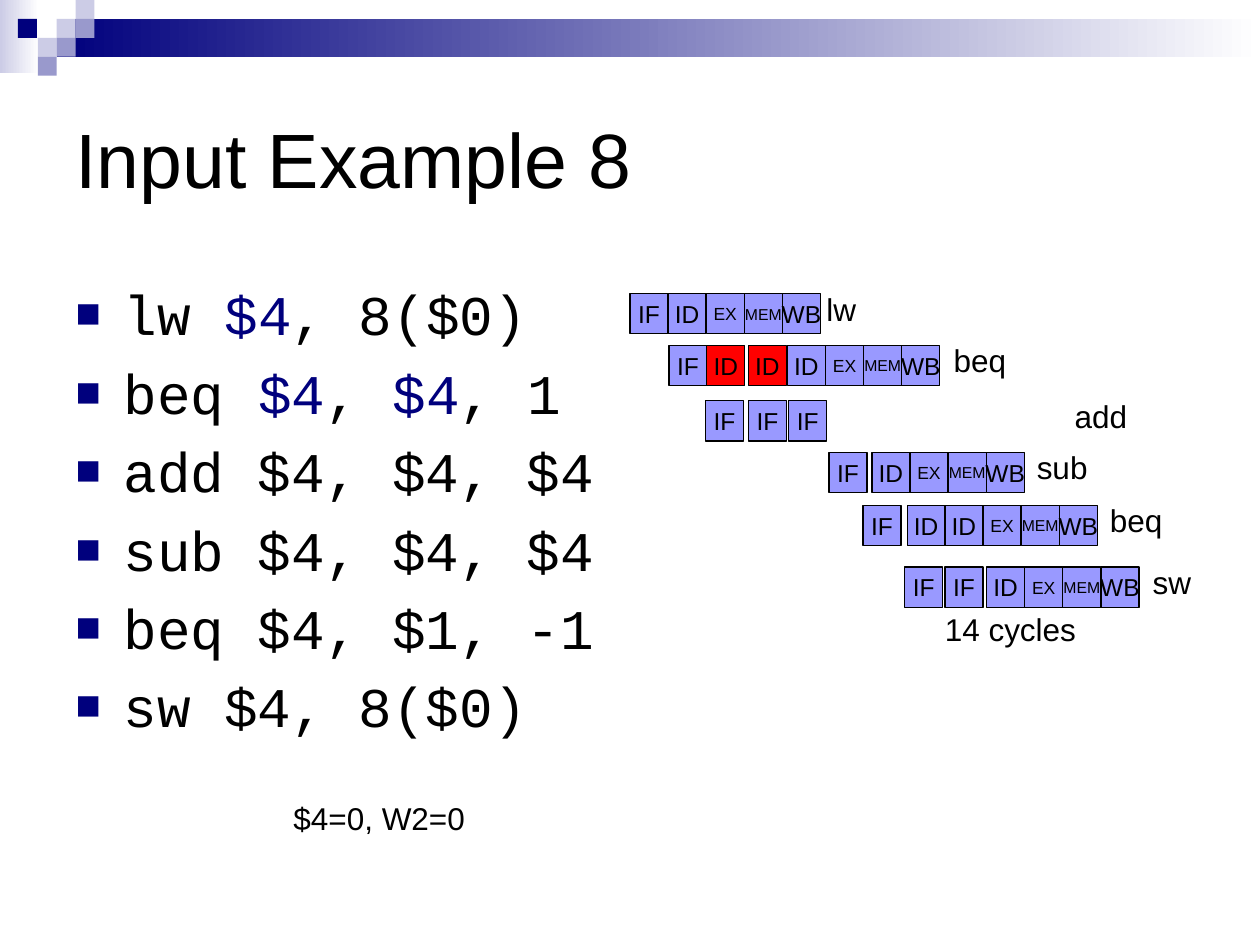
from lxml.etree import SubElement
from pptx import Presentation
from pptx.dml.color import RGBColor
from pptx.enum.shapes import MSO_SHAPE
from pptx.enum.text import MSO_ANCHOR, MSO_AUTO_SIZE, PP_ALIGN
from pptx.oxml.ns import qn
from pptx.util import Inches, Pt

NAVY, PALE, MID = "00007D", "CCCCE6", "9999CC"
BLACK, WHITE, BLUE, RED = "000000", "FFFFFF", "9999FF", "FF0000"
PITCH, TALL, TILE = 1.21 / 4, 0.32, 0.15
SIZES = {"EX": 10, "MEM": 9}
TAIL = ["ID", "EX", "MEM", "WB"]
CODE = [
    [("lw ", BLACK), ("$4", NAVY), (", 8($0)", BLACK)],
    [("beq ", BLACK), ("$4", NAVY), (", ", BLACK), ("$4", NAVY), (", 1", BLACK)],
    [("add $4, $4, $4", BLACK)],
    [("sub $4, $4, $4", BLACK)],
    [("beq $4, $1, -1", BLACK)],
    [("sw $4, 8($0)", BLACK)],
]
ROWS = [
    ("lw", 6.46, 0.44, 2.33, [(5, ["IF"] + TAIL, BLUE)]),
    ("beq", 7.47, 0.62, 2.74, [(5.31, ["IF"], BLUE), (6.25, TAIL, BLUE),
                               (5.61, ["ID"], RED), (5.94, ["ID"], RED)]),
    ("add", 8.43, 0.62, 3.18, [(x, ["IF"], BLUE) for x in (5.6, 5.94, 6.26)]),
    ("sub", 8.13, 0.61, 3.59, [(6.58, ["IF"], BLUE), (6.92, TAIL, BLUE)]),
    ("beq", 8.71, 0.62, 4.01, [(6.85, ["IF"], BLUE), (7.2, ["ID"], BLUE),
                               (7.5, TAIL, BLUE)]),
    ("sw", 9.05, 0.51, 4.5, [(7.18, ["IF"], BLUE), (7.5, ["IF"], BLUE),
                             (7.83, TAIL, BLUE)]),
]


def paint(fmt, tone):
    """Set a solid colour on a fill."""
    fmt.solid()
    fmt.fore_color.rgb = RGBColor.from_string(tone)


def write(para, text, size=18, font="Arial", tone=BLACK, align=PP_ALIGN.LEFT):
    """Add a formatted run to a paragraph."""
    para.alignment = align
    run = para.add_run()
    run.text = text
    run.font.size, run.font.name = Pt(size), font
    paint(run.font.fill, tone)


def place(shape, box):
    """Move a shape to a box given in inches."""
    shape.left, shape.top, shape.width, shape.height = map(Inches, box)


def block(slide, box, tone, fade=False):
    """Draw a plain or fading rectangle without a line."""
    shape = slide.shapes.add_shape(MSO_SHAPE.RECTANGLE, *map(Inches, box))
    shape.shadow.inherit = False
    shape.line.fill.background()
    if fade:
        shape.fill.gradient()
        shape.fill.gradient_angle = 0
        for stop, hue, pos in zip(shape.fill.gradient_stops, (tone, WHITE), (0, 1)):
            stop.color.rgb = RGBColor.from_string(hue)
            stop.position = pos
    else:
        paint(shape.fill, tone)
    return shape


def banner(slide, box):
    """Draw the fading bar and its checker of tiles across the top."""
    left, top, width, height = box
    block(slide, (left, top, 0.31, 0.58), PALE, fade=True)
    block(slide, (left + 0.45, top + TILE, width - 0.45, 2 * TILE), NAVY, fade=True)
    tiles = [(3, 1, PALE), (4, 0, PALE), (4, 1, MID), (2, 2, PALE),
             (0.95, 1, NAVY), (3, 2, MID), (2, 3, MID)]
    for col, row, tone in tiles:
        block(slide, (left + col * TILE, top + row * TILE, TILE, TILE), tone)


def heading(slide, box, text):
    """Fill the title placeholder."""
    title = slide.shapes.title
    place(title, box)
    frame = title.text_frame
    frame.auto_size, frame.vertical_anchor = MSO_AUTO_SIZE.NONE, MSO_ANCHOR.MIDDLE
    write(frame.paragraphs[0], text, size=44)


def bullet(para):
    """Give a paragraph a square bullet and a hanging indent."""
    props = para._p.get_or_add_pPr()
    props.set("marL", str(Inches(0.38)))
    props.set("indent", str(-Inches(0.38)))
    space = SubElement(props, qn("a:spcBef"))
    SubElement(space, qn("a:spcPct"), val="20000")
    hue = SubElement(props, qn("a:buClr"))
    SubElement(hue, qn("a:srgbClr"), val=NAVY)
    SubElement(props, qn("a:buSzPct"), val="75000")
    SubElement(props, qn("a:buFont"), typeface="Arial")
    SubElement(props, qn("a:buChar"), char="■")


def listing(slide, box, lines):
    """Fill the body placeholder with the code lines."""
    body = slide.placeholders[1]
    place(body, box)
    frame = body.text_frame
    frame.auto_size = MSO_AUTO_SIZE.NONE
    for num, line in enumerate(lines):
        para = frame.add_paragraph() if num else frame.paragraphs[0]
        bullet(para)
        for text, tone in line:
            write(para, text, size=32, font="Courier New", tone=tone)


def label(slide, box, text):
    """Add a line of free text."""
    frame = slide.shapes.add_textbox(*map(Inches, box)).text_frame
    frame.word_wrap = False
    write(frame.paragraphs[0], text)


def stage(slide, box, name, tone):
    """Draw one outlined pipeline stage."""
    shape = block(slide, box, tone)
    paint(shape.line.fill, BLACK)
    shape.line.width = Pt(0.75)
    frame = shape.text_frame
    frame.word_wrap, frame.vertical_anchor = False, MSO_ANCHOR.MIDDLE
    write(frame.paragraphs[0], name, size=SIZES.get(name, 14), align=PP_ALIGN.CENTER)


def chart(slide, rows):
    """Draw each instruction's stages and its name."""
    for name, left, width, top, runs in rows:
        for start, names, tone in runs:
            for num, step in enumerate(names):
                stage(slide, (start + num * PITCH, top, PITCH, TALL), step, tone)
        label(slide, (left, top - 0.08, width, 0.4), name)


def main():
    """Build and save the slide."""
    deck = Presentation()
    deck.slide_width, deck.slide_height = Inches(10), Inches(7.5)
    slide = deck.slides.add_slide(deck.slide_layouts[1])
    banner(slide, (0, 0, 10, 0.6))
    heading(slide, (0.5, 0.5, 9, 1.5), "Input Example 8")
    listing(slide, (0.5, 2.17, 9, 4.25), CODE)
    chart(slide, ROWS)
    label(slide, (7.4, 4.79, 1.24, 0.4), "14 cycles")
    label(slide, (2.23, 6.29, 1.58, 0.4), "$4=0, W2=0")
    deck.save("out.pptx")


if __name__ == "__main__":
    main()
